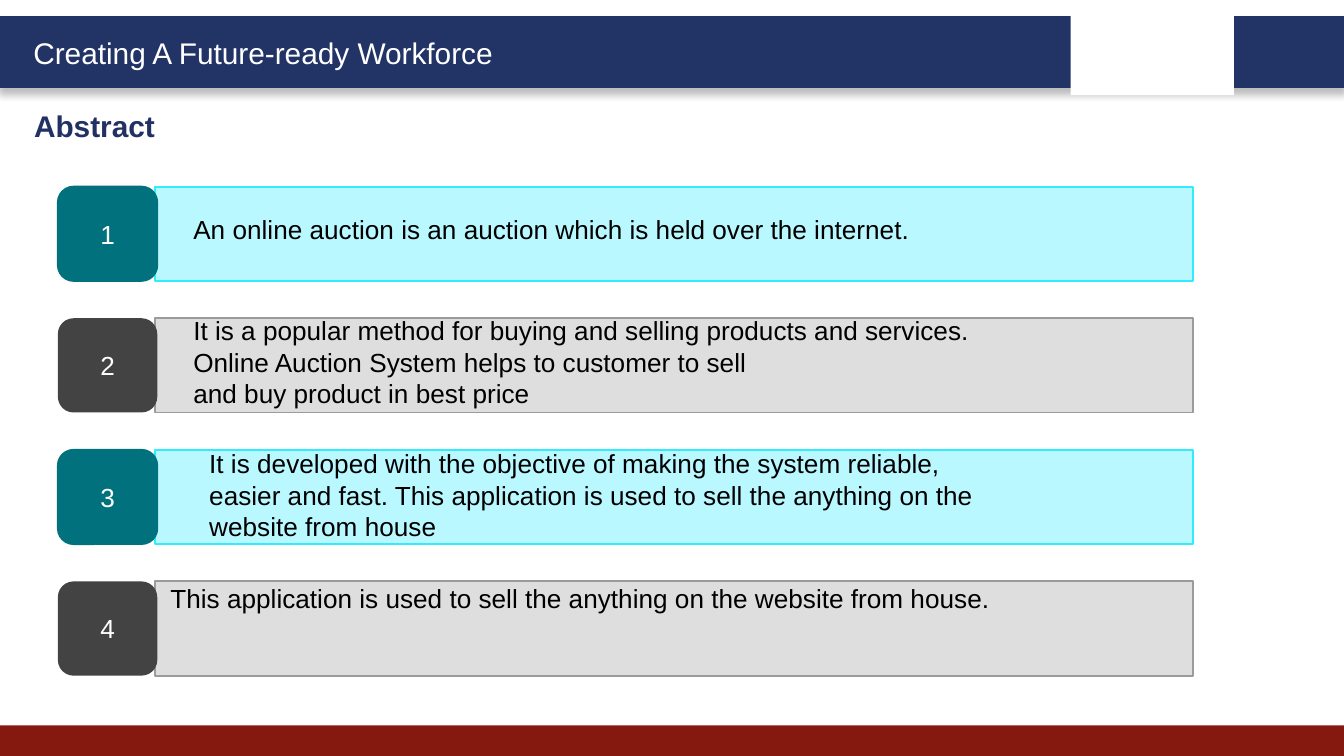
import pptx
import pptx.dml.color
import pptx.enum.shapes
import pptx.enum.text
import pptx.oxml
import pptx.oxml.ns
import pptx.util

Pt = pptx.util.Pt
RECTANGLE = pptx.enum.shapes.MSO_SHAPE.RECTANGLE
ROUNDED = pptx.enum.shapes.MSO_SHAPE.ROUNDED_RECTANGLE

deck = pptx.Presentation()
deck.slide_width, deck.slide_height = Pt(720), Pt(405)
page = deck.slides.add_slide(deck.slide_layouts[6])


def color(value):
    return pptx.dml.color.RGBColor.from_string(value)


def add_block(kind, left, top, width, height, fill, line=None, weight=1):
    block = page.shapes.add_shape(kind, Pt(left), Pt(top), Pt(width), Pt(height))
    block.shadow.inherit = False
    block.fill.solid()
    block.fill.fore_color.rgb = color(fill)
    if line:
        block.line.color.rgb = color(line)
        block.line.width = Pt(weight)
    else:
        block.line.fill.background()
    return block


def write(box, lines, size, ink, bold=False):
    frame = box.text_frame
    frame.word_wrap = True
    for index, line in enumerate(lines):
        para = frame.add_paragraph() if index else frame.paragraphs[0]
        span = para.add_run()
        span.text = line
        span.font.name = "Arial"
        span.font.size = Pt(size)
        span.font.bold = bold
        span.font.color.rgb = color(ink)


# Banner with a soft shadow, footer bar and white logo space
banner = add_block(RECTANGLE, 0, 9.4, 720, 36.8, "223366", "223366", 2)
effects = banner.element.spPr.find(pptx.oxml.ns.qn("a:effectLst"))
effects.append(pptx.oxml.parse_xml(
    f'<a:outerShdw {pptx.oxml.ns.nsdecls("a")} blurRad="{Pt(4)}" dist="{Pt(3)}" '
    'dir="5400000" algn="t" rotWithShape="0">'
    '<a:srgbClr val="000000"><a:alpha val="25000"/></a:srgbClr></a:outerShdw>'))
add_block(RECTANGLE, 0, 388.6, 720, 16.4, "851910")
add_block(RECTANGLE, 573.6, 5, 87.4, 46, "FFFFFF")

# Headings: text, left, top, width, colour, bold
headings = [
    ("Creating A Future-ready Workforce", 10.8, 15.3, 272, "FFFFFF", False),
    ("Abstract", 11.2, 54, 348.5, "213163", True),
]
for text, left, top, width, ink, bold in headings:
    box = page.shapes.add_textbox(Pt(left), Pt(top), Pt(width), Pt(26.6))
    write(box, [text], 16, ink, bold)

# Numbered bars in alternating colours: bar, bar line, badge, badge line
styles = [("BAF8FF", "31EBFF", "00717D", "00717D"),
          ("DEDEDE", "9B9B9B", "434343", None)]
for row in range(4):
    bar_fill, bar_line, badge_fill, badge_line = styles[row % 2]
    top = 100 + 70.5 * row
    add_block(RECTANGLE, 83, top, 556, 50.5, bar_fill, bar_line)
    badge = add_block(ROUNDED, 31, top, 53.3, 50.5, badge_fill, badge_line)
    write(badge, [str(row + 1)], 14, "FFFFFF")
    badge.text_frame.vertical_anchor = pptx.enum.text.MSO_ANCHOR.MIDDLE
    badge.text_frame.paragraphs[0].alignment = pptx.enum.text.PP_ALIGN.CENTER

# Statements: left, top, width, height, paragraphs
statements = [
    (96.5, 111, 446.4, 24.2,
     ["An online auction is an auction which is held over the internet."]),
    (96.5, 165, 446.4, 58.2,
     ["It is a popular method for buying and selling products and services. "
      "Online Auction System helps to customer to sell",
      "and buy product in best price"]),
    (105, 236.2, 445, 58.2,
     ["It is developed with the objective of making the system reliable, easier and fast. "
      "This application is used to sell the anything on the website from house"]),
    (84.2, 308.2, 486, 24.2,
     ["This application is used to sell the anything on the website from house."]),
]
for left, top, width, height, lines in statements:
    box = page.shapes.add_textbox(Pt(left), Pt(top), Pt(width), Pt(height))
    write(box, lines, 14, "000000")

deck.save("out.pptx")
